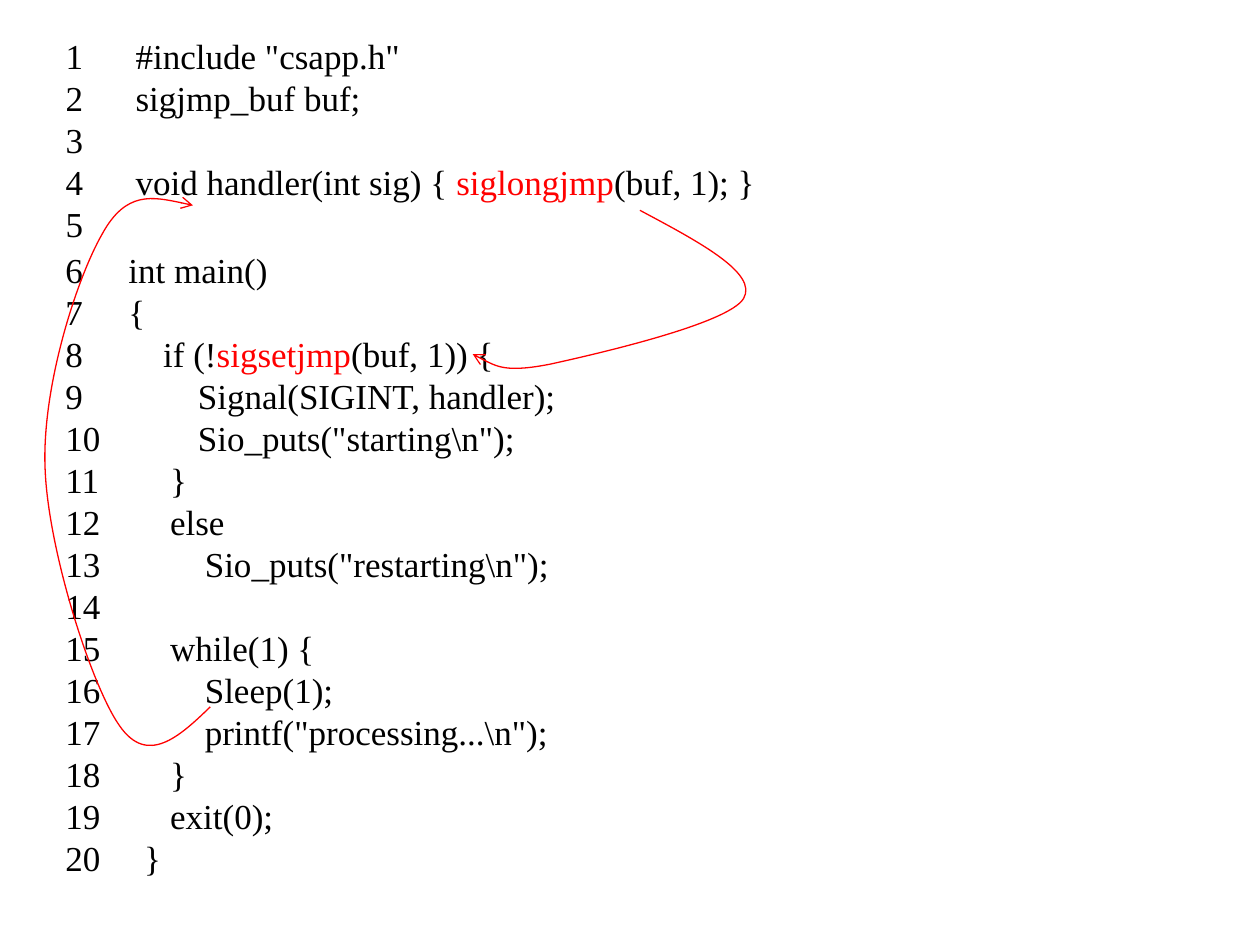
from dataclasses import dataclass

from lxml import etree
from pptx import Presentation
from pptx import util as u
from pptx.dml.color import RGBColor
from pptx.enum import text
from pptx.oxml.ns import qn

BLACK, RED, WHITE = "000000", "FF0000", "FFFFFF"
TEXT_X, NUMBERED_X, STEP = 1.41, 1.27, 0.7  # code columns in cm
FORMAT = {"name": "Times New Roman", "size": u.Pt(20), "bold": False}


@dataclass
class Line:
    number: int
    code: str = ""
    level: float = 0
    call: str = ""  # highlighted call
    rest: str = ""
    auto: bool = False  # number drawn by the list format


@dataclass
class Arrow:
    box: tuple  # left, top, right, bottom in cm
    start: tuple
    curves: list  # two control points and an end point each


HANDLER = [
    Line(1, '#include "csapp.h"'),
    Line(2, "sigjmp_buf buf;"),
    Line(3),
    Line(4, "void handler(int sig) { ", call="siglongjmp", rest="(buf, 1); }"),
    Line(5),
]
MAIN = [
    Line(6, "int main()", auto=True),
    Line(7, "{", auto=True),
    Line(8, "if (!", 1, "sigsetjmp", "(buf, 1)) {", auto=True),
    Line(9, "Signal(SIGINT, handler);", 2, auto=True),
    Line(10, 'Sio_puts("starting\\n");', 2, auto=True),
    Line(11, "}", 1),
    Line(12, "else", 1),
    Line(13, 'Sio_puts("restarting\\n");', 2),
    Line(14),
    Line(15, "while(1) {", 1),
    Line(16, "Sleep(1);", 2),
    Line(17, 'printf("processing...\\n");', 2),
    Line(18, "}", 1),
    Line(19, "exit(0);", 1),
    Line(20, "}", 0.25),
]
ARROWS = [
    Arrow((9.53, 4.24, 15.04, 7.42), (12.9, 4.24), [
        ((14.1, 4.88), (15.29, 5.51), (14.99, 6.02)),
        ((14.68, 6.53), (12.01, 7.14), (11.1, 7.34)),
        ((10.19, 7.52), (9.86, 7.32), (9.53, 7.14))]),
    Arrow((0.89, 4.01, 4.24, 15.01), (4.24, 14.25), [
        ((3.61, 14.86), (2.97, 15.44), (2.41, 14.63)),
        ((1.85, 13.84), (0.97, 11.1), (0.91, 9.45)),
        ((0.84, 7.8), (1.55, 5.61), (2.06, 4.72)),
        ((2.54, 3.84), (3.23, 3.99), (3.89, 4.14))]),
]


def rgb(color: str) -> RGBColor:
    return RGBColor.from_string(color)


def add_run(p, words: str, color: str) -> None:
    r = p.add_run()
    r.text = words
    for key, value in FORMAT.items():
        setattr(r.font, key, value)
    r.font.color.rgb = rgb(color)


def write_line(p, line: Line) -> None:
    p.line_spacing = u.Pt(24)
    p.space_before = p.space_after = u.Pt(0)
    p.alignment = text.PP_ALIGN.LEFT
    # Hanging indent: number at the margin, code at its column
    indent = u.Cm((NUMBERED_X if line.auto else TEXT_X) + STEP * line.level)
    pPr = p._p.get_or_add_pPr()
    pPr.set("marL", str(indent))
    pPr.set("indent", str(-indent))
    if line.auto:
        color = etree.SubElement(pPr, qn("a:buClr"))
        etree.SubElement(color, qn("a:srgbClr"), val=BLACK)
        etree.SubElement(pPr, qn("a:buFont"), typeface=FORMAT["name"])
        etree.SubElement(pPr, qn("a:buAutoNum"), type="arabicPlain",
                         startAt=str(line.number))
        add_run(p, line.code, BLACK)
    else:
        etree.SubElement(pPr, qn("a:buNone"))
        add_run(p, f"{line.number}\t{line.code}" if line.code else str(line.number), BLACK)
    if line.call:
        add_run(p, line.call, RED)
        add_run(p, line.rest, BLACK)


def fill_listing(sp, top: float, height: float, lines: list[Line]) -> None:
    sp.left, sp.top, sp.width, sp.height = map(u.Cm, (1.07, top, 23.5, height))
    sp.fill.solid()
    sp.fill.fore_color.rgb = rgb(WHITE)
    tf = sp.text_frame
    tf.word_wrap = True
    tf.auto_size = text.MSO_AUTO_SIZE.NONE
    tf.vertical_anchor = text.MSO_ANCHOR.TOP
    for i, line in enumerate(lines):
        write_line(tf.add_paragraph() if i else tf.paragraphs[0], line)


def draw_arrow(s, arrow: Arrow) -> None:
    left, top, right, bottom = map(u.Cm, arrow.box)
    builder = s.shapes.build_freeform(left, top)
    builder.add_line_segments([(right, bottom)], close=False)
    sp = builder.convert_to_shape()
    # Curved outline inside the box
    outline = sp._element.xpath(".//a:path")[0]
    for child in list(outline):
        outline.remove(child)
    segments = [("a:moveTo", [arrow.start])]
    segments += [("a:cubicBezTo", points) for points in arrow.curves]
    for tag, points in segments:
        segment = etree.SubElement(outline, qn(tag))
        for x, y in points:
            etree.SubElement(segment, qn("a:pt"),
                             x=str(u.Cm(x) - left), y=str(u.Cm(y) - top))
    sp.fill.background()
    sp.shadow.inherit = False
    sp.line.color.rgb = rgb(RED)
    sp.line.width = u.Pt(0.75)
    etree.SubElement(sp.line._get_or_add_ln(), qn("a:tailEnd"), type="arrow")


def main() -> None:
    prs = Presentation()
    prs.slide_width, prs.slide_height = u.Cm(25.4), u.Cm(19.05)
    s = prs.slides.add_slide(prs.slide_layouts[1])
    title = s.shapes.title._element
    title.getparent().remove(title)

    # Code listing
    fill_listing(s.placeholders[1], 0.56, 4.52, HANDLER)
    fill_listing(s.shapes.add_textbox(0, 0, 0, 0), 4.88, 13.34, MAIN)

    # Jumps between the functions
    for arrow in ARROWS:
        draw_arrow(s, arrow)
    prs.save("out.pptx")


if __name__ == "__main__":
    main()
